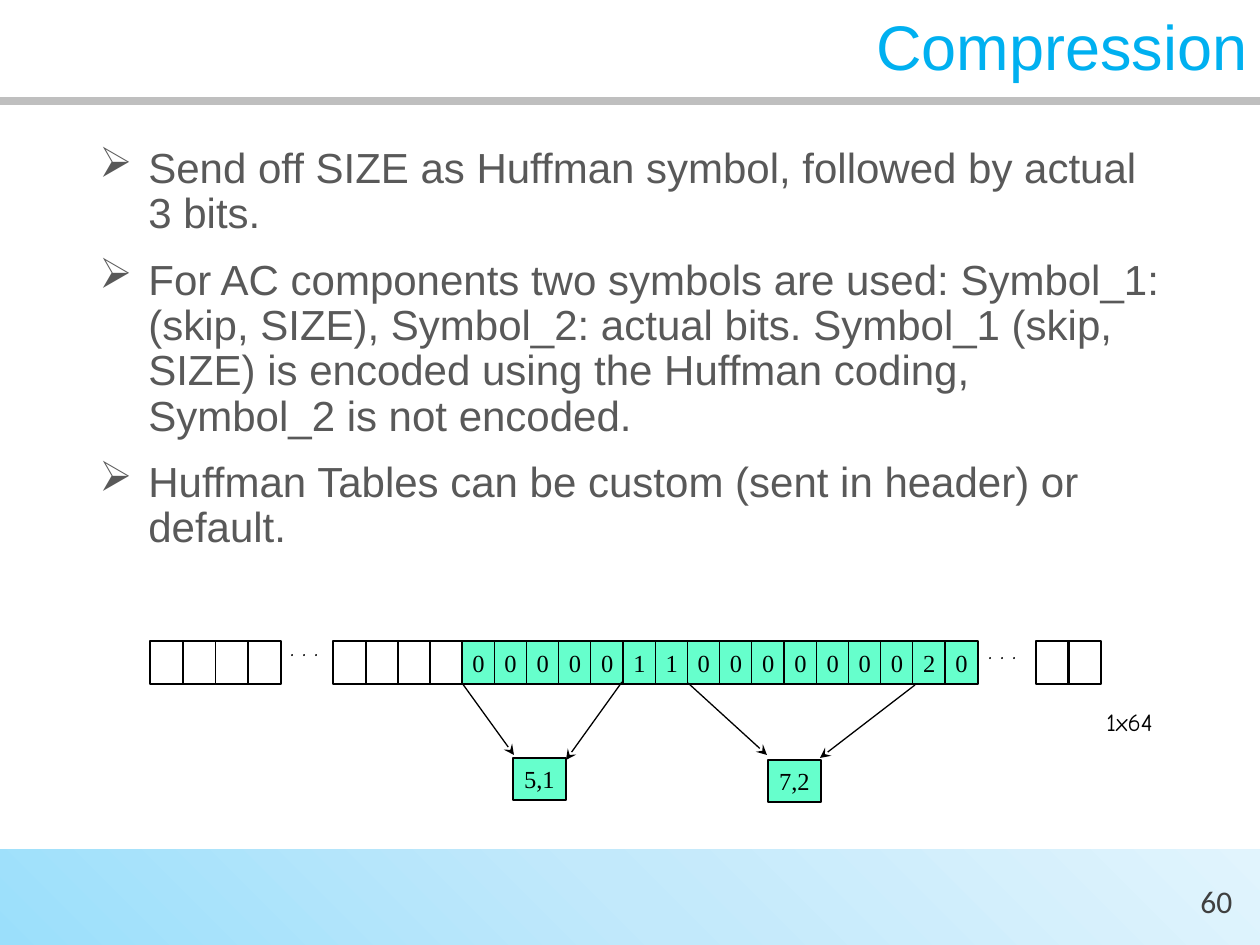
"""Build the slide on Huffman compression of AC components."""
from copy import deepcopy

from lxml.etree import SubElement
from pptx import Presentation
from pptx.dml.color import RGBColor
from pptx.enum.shapes import MSO_CONNECTOR, MSO_SHAPE
from pptx.enum.text import MSO_ANCHOR, PP_ALIGN
from pptx.oxml.ns import qn
from pptx.util import Emu, Pt

COLORS = {
    "title": "00B0F0", "body": "595959", "number": "404040", "rule": "BFBFBF",
    "ink": "000000", "code": "66FFCC",
}
BAND_STOPS = [(0, "9BDFFB"), (0.5, "C2E9FB"), (1, "E1F4FD")]

TITLE = "Compression"
PAGE_NUMBER = "60"
POINTS = [
    "Send off SIZE as Huffman symbol, followed by actual 3 bits.",
    "For AC components two symbols are used: Symbol_1: (skip, SIZE), Symbol_2: "
    "actual bits. Symbol_1 (skip, SIZE) is encoded using the Huffman coding, "
    "Symbol_2 is not encoded.",
    "Huffman Tables can be custom (sent in header) or default.",
]

CELL_TOP, CELL_WIDTH, CELL_HEIGHT = 641, 33, 43
CELL_RUNS = [
    (150, 248, [""] * 4),
    (333, 430, [""] * 4),
    (462, 945, list("0000011000000020")),
    (1036, 1068, [""] * 2),
]
SYMBOLS = [("5,1", 513, 758), ("7,2", 768, 760)]
SYMBOL_WIDTH, SYMBOL_HEIGHT = 53, 42
ARROWS = [
    ((462, 683), (514, 755)), ((622, 682), (566, 760)),
    ((688, 683), (767, 755)), ((915, 685), (820, 758)),
]
LABELS = [
    (". . .", 278, 626, 58, 42),
    (". . .", 976, 629, 58, 42),
    ("1x64", 1094, 701, 81, 42),
]


def px(length):
    return Emu(round(length * 914400 / 126))


def rgb(name):
    return RGBColor.from_string(COLORS[name])


def format_text(frame, size, font, color, align=PP_ALIGN.LEFT, anchor=MSO_ANCHOR.TOP, wrap=True):
    frame.word_wrap = wrap
    frame.vertical_anchor = anchor
    for paragraph in frame.paragraphs:
        paragraph.alignment = align
        for run in paragraph.runs:
            run.font.size = Pt(size)
            run.font.name = font
            run.font.color.rgb = rgb(color)


def add_text(slide, text, box, *style, **options):
    frame = slide.shapes.add_textbox(*map(px, box)).text_frame
    frame.text = text
    format_text(frame, *style, **options)
    return frame


def add_line(slide, start, end, color, width):
    line = slide.shapes.add_connector(MSO_CONNECTOR.STRAIGHT, *map(px, start + end))
    line.line.color.rgb = rgb(color)
    line.line.width = Pt(width)
    SubElement(line._element.spPr, qn("a:effectLst"))
    return line


def add_arrow(slide, start, end):
    arrow = add_line(slide, start, end, "ink", 0.75)
    SubElement(arrow.line._get_or_add_ln(), qn("a:tailEnd"), type="stealth")


def add_cell(slide, text, *box):
    cell = slide.shapes.add_shape(MSO_SHAPE.RECTANGLE, *map(px, box))
    cell.shadow.inherit = False
    cell.line.color.rgb = rgb("ink")
    cell.line.width = Pt(0.75)
    if not text:
        cell.fill.background()
        return
    cell.fill.solid()
    cell.fill.fore_color.rgb = rgb("code")
    cell.text_frame.text = text
    format_text(cell.text_frame, 14, "Times New Roman", "ink",
                PP_ALIGN.CENTER, MSO_ANCHOR.MIDDLE, wrap=False)


def add_band(slide):
    band = slide.shapes.add_shape(MSO_SHAPE.RECTANGLE, *map(px, (0, 849, 1260, 96)))
    band.shadow.inherit = False
    band.line.fill.background()
    band.fill.gradient()
    band.fill.gradient_angle = 45
    first_stop = band._element.spPr.find(".//" + qn("a:gs"))
    first_stop.addnext(deepcopy(first_stop))
    for stop, (position, color) in zip(band.fill.gradient_stops, BAND_STOPS):
        stop.position = position
        stop.color.rgb = RGBColor.from_string(color)


def add_points(slide):
    points = add_text(slide, "\n".join(POINTS), (87, 141, 1086, 710), 24, "Arial", "body")
    for paragraph in points.paragraphs:
        paragraph.line_spacing = 0.9
        paragraph.space_before = Pt(12)
        properties = paragraph._p.get_or_add_pPr()
        properties.set("marL", str(px(49)))
        properties.set("indent", str(-px(49)))
        SubElement(properties, qn("a:buChar"), char="➢")


def add_diagram(slide):
    for first, last, values in CELL_RUNS:
        pitch = (last - first) / (len(values) - 1)
        for index, value in enumerate(values):
            add_cell(slide, value, first + index * pitch, CELL_TOP, CELL_WIDTH, CELL_HEIGHT)
    for start, end in ARROWS:
        add_arrow(slide, start, end)
    for symbol, left, top in SYMBOLS:
        add_cell(slide, symbol, left, top, SYMBOL_WIDTH, SYMBOL_HEIGHT)
    for label, *box in LABELS:
        add_text(slide, label, box, 14, "Comic Neue", "ink", wrap=False)


def main():
    deck = Presentation()
    deck.slide_width, deck.slide_height = px(1260), px(945)
    slide = deck.slides.add_slide(deck.slide_layouts[6])
    add_band(slide)
    add_line(slide, (0, 101), (1260, 101), "rule", 4.5)
    add_points(slide)
    add_text(slide, PAGE_NUMBER, (1173, 876, 87, 50), 18, "Calibri", "number",
             PP_ALIGN.CENTER, MSO_ANCHOR.MIDDLE)
    title = add_text(slide, TITLE, (0, 0, 1260, 101), 36, "Arial", "title",
                     PP_ALIGN.RIGHT, MSO_ANCHOR.MIDDLE)
    title.paragraphs[0].line_spacing = 0.9
    add_diagram(slide)
    deck.save("out.pptx")


if __name__ == "__main__":
    main()
